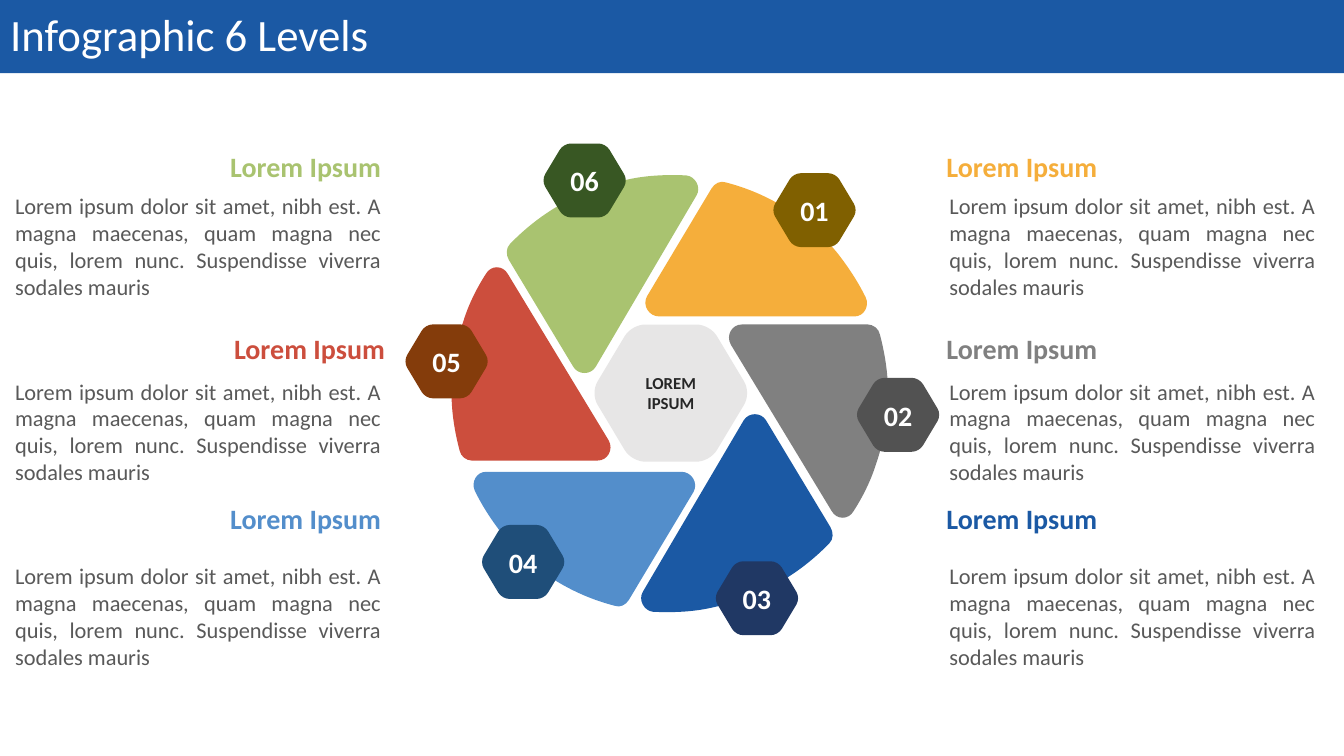
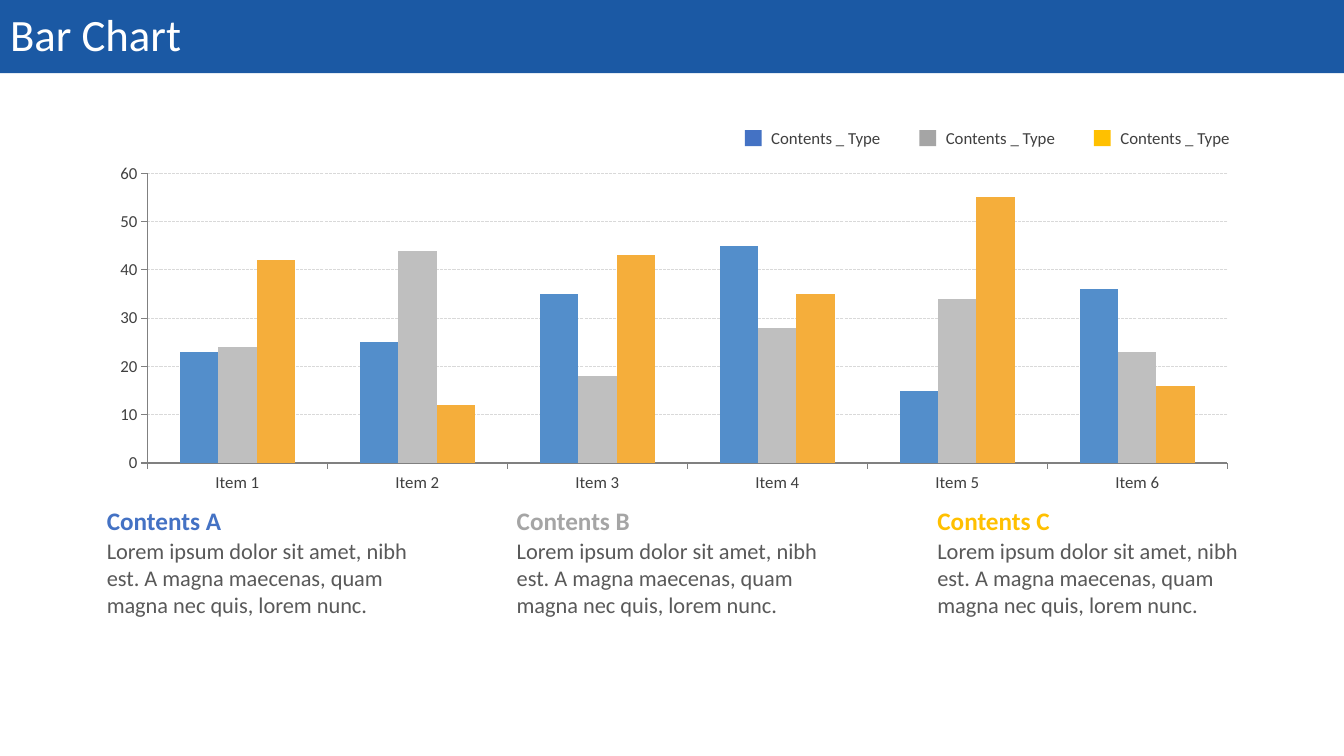
import math
from dataclasses import dataclass

import lxml.etree
import pptx
import pptx.chart.data
import pptx.dml.color
import pptx.enum.chart
import pptx.enum.dml
import pptx.enum.shapes
import pptx.enum.text
import pptx.oxml
import pptx.util

Pt = pptx.util.Pt
RGB = pptx.dml.color.RGBColor.from_string
qn = pptx.oxml.ns.qn
ALIGN = pptx.enum.text.PP_ALIGN
ANCHOR = pptx.enum.text.MSO_ANCHOR
SHAPE = pptx.enum.shapes.MSO_SHAPE


@dataclass(frozen=True)
class Theme:
    font: str = "Calibri"
    white: str = "FFFFFF"
    black: str = "000000"
    navy: str = "1B59A4"
    sky: str = "538ECB"
    amber: str = "F5AE3B"
    gray: str = "808080"
    silver: str = "BFBFBF"
    green: str = "A9C370"
    red: str = "CC4E3D"
    hub: str = "E7E6E6"
    hub_ink: str = "262626"
    body_ink: str = "595959"
    label_ink: str = "404040"
    grid: str = "D9D9D9"
    keys: tuple = ("4472C4", "A5A5A5", "FFC000")
    title_size: int = 32
    heading_size: int = 20
    caption_size: int = 18
    body_size: int = 16
    label_size: int = 12


theme = Theme()


def write_text(frame, text, *, size, color, bold=False, align=ALIGN.LEFT,
               anchor=ANCHOR.TOP, side=7.2, edge=3.6, spacing=1.0):
    """Fill a text frame; side and edge are its insets in points."""
    frame.word_wrap = True
    frame.auto_size = pptx.enum.text.MSO_AUTO_SIZE.NONE
    frame.vertical_anchor = anchor
    frame.margin_left = frame.margin_right = Pt(side)
    frame.margin_top = frame.margin_bottom = Pt(edge)
    frame.text = text
    for para in frame.paragraphs:
        para.alignment = align
        para.line_spacing = spacing
        for span in para.runs:
            span.font.name = theme.font
            span.font.size = Pt(size)
            span.font.bold = bold
            span.font.color.rgb = RGB(color)


def add_outline(page, center, bends, color, flip=1):
    """Draw cubic bends joined by straight lines; flip=-1 gives a half turn."""
    points, curve_starts = [], []
    for bend in bends:
        fresh = bend if not points or bend[0] != last else bend[1:]
        last = bend[3]
        points.extend(fresh)
        curve_starts.append(len(points) - 3)
    places = [(Pt(center[0] + flip * x), Pt(center[1] + flip * y)) for x, y in points]
    builder = page.shapes.build_freeform(*places[0], scale=1.0)
    builder.add_line_segments(places[1:], close=True)
    shape = builder.convert_to_shape()
    # Merge each run of three line ends into one cubic curve
    track = next(shape._element.iter(qn("a:path")))
    nodes = list(track)
    for start in curve_starts:
        curve = lxml.etree.SubElement(track, qn("a:cubicBezTo"))
        track.replace(nodes[start], curve)
        curve.append(nodes[start][0])
        for node in nodes[start + 1:start + 3]:
            curve.append(node[0])
            track.remove(node)
    shape.shadow.inherit = False
    shape.fill.solid()
    shape.fill.fore_color.rgb = RGB(color)
    shape.line.fill.background()
    return shape


deck = pptx.Presentation()
deck.slide_width, deck.slide_height = Pt(960), Pt(540)

pages = []
for title in ("Infographic 6 Levels", "Bar Chart"):
    page = deck.slides.add_slide(deck.slide_layouts[5])
    band = page.shapes.title
    band.left, band.top, band.width, band.height = Pt(0), Pt(0), Pt(960), Pt(52.2)
    band.fill.solid()
    band.fill.fore_color.rgb = RGB(theme.navy)
    write_text(band.text_frame, title, size=theme.title_size, color=theme.white,
               anchor=ANCHOR.MIDDLE, spacing=0.9)
    pages.append(page)
wheel_page, chart_page = pages

# Wheel: three blades, and the same three after a half turn
disc = wheel_page.shapes.add_shape(SHAPE.OVAL, Pt(310.3), Pt(111.6), Pt(337.7), Pt(337.7))
disc.shadow.inherit = False
disc.fill.solid()
disc.fill.fore_color.rgb = RGB(theme.white)
disc.line.fill.background()

wheel_center = (478.4, 280.4)
upper_blade = [
    ((119.2, -100.4), (98.3, -124.9), (70.9, -142.2), (40, -150.1)),
    ((40, -150.1), (36.4, -151.6), (32, -149.4), (29.9, -145.8)),
    ((-16.2, -68.8), (-19.8, -62.3), (-14.8, -54.4), (-7.6, -54.4)),
    ((132.1, -54.4), (138.6, -54.4), (142.9, -61.6), (140, -68)),
    ((140, -68), (134.3, -79.6), (127.1, -90.4), (119.2, -100.4)),
]
side_blade = [
    ((115.6, 84.6), (119.2, 91.1), (127.8, 91.1), (131.4, 84.6)),
    ((131.4, 84.6), (137.9, 74.5), (143.6, 63), (147.2, 51.5)),
    ((147.2, 51.5), (153, 34.9), (155.9, 17.6), (155.9, 0.4)),
    ((155.9, 0.4), (155.9, -14), (153.7, -27.7), (150.1, -41.4)),
    ((150.1, -41.4), (149.4, -45.7), (145.1, -48.6), (141.5, -48.6)),
    ((51.5, -48.6), (44.3, -48.6), (40, -40.7), (43.6, -34.2)),
]
lower_blade = [
    ((-19.1, 142.2), (-22.7, 148), (-18.4, 155.9), (-11.9, 156.6)),
    ((-11.9, 156.6), (3.2, 157.3), (18.4, 156.6), (32.8, 153)),
    ((32.8, 153), (63.7, 146.5), (91.8, 130.7), (114.1, 107.6)),
    ((114.1, 107.6), (117, 104.8), (117, 99.7), (114.8, 96.1)),
    ((68.8, 19.8), (65.2, 14), (56.5, 14), (52.9, 19.8)),
]
blades = (upper_blade, side_blade, lower_blade)

# Hexagon with rounded corners and a half height of 1
corners = [(1.17, 0), (0.57, 1), (-0.57, 1), (-1.17, 0), (-0.57, -1), (0.57, -1)]
hexagon = []
for index, corner in enumerate(corners):
    ends = []
    for neighbor in (corners[index - 1], corners[(index + 1) % 6]):
        reach = 0.2 / math.dist(corner, neighbor)
        for part in (reach, reach * 0.42):
            ends.append(tuple(c + (n - c) * part for c, n in zip(corner, neighbor)))
    hexagon.append((ends[0], ends[1], ends[3], ends[2]))
hub_bends, badge_bends = (
    [[(x * half, y * half) for x, y in bend] for bend in hexagon] for half in (49, 26.4))

hub = add_outline(wheel_page, (479.2, 280.8), hub_bends, theme.hub)
write_text(hub.text_frame, "LOREM\vIPSUM", size=theme.label_size, color=theme.hub_ink,
           bold=True, align=ALIGN.CENTER, anchor=ANCHOR.MIDDLE, side=2, edge=2)

# Blade colour, blade center, badge colour, badge center, heading left, row
levels = [
    (theme.amber, wheel_center, "806000", (581.8, 150.1), 676, 0),
    (theme.gray, wheel_center, "525252", (641.5, 296.3), 676, 1),
    (theme.navy, wheel_center, "203864", (540.7, 427.3), 676, 2),
    (theme.sky, (479.2, 282.6), "1F4E79", (373.7, 401.4), 99.4, 2),
    (theme.red, wheel_center, "843C0B", (319, 258.1), 102.2, 1),
    (theme.green, (478.4, 281.9), "385723", (417.6, 128.9), 99.4, 0),
]
heading_tops = (103, 233, 354.2)
body_tops = (134, 266.2, 398.2)
level_text = ("Lorem ipsum dolor sit amet, nibh est. A magna maecenas, quam magna nec "
              "quis, lorem nunc. Suspendisse viverra sodales mauris")

for index, level in enumerate(levels):
    color, blade_center, badge_color, badge_center, heading_left, row = level
    on_right = index < 3
    add_outline(wheel_page, blade_center, blades[index % 3], color,
                flip=1 if on_right else -1)
    badge = add_outline(wheel_page, badge_center, badge_bends, badge_color)
    write_text(badge.text_frame, f"{index + 1:02}", size=theme.heading_size,
               color=theme.white, bold=True, align=ALIGN.CENTER,
               anchor=ANCHOR.MIDDLE, side=2, edge=2)
    heading = wheel_page.shapes.add_textbox(
        Pt(heading_left), Pt(heading_tops[row]), Pt(172.8), Pt(31.5))
    write_text(heading.text_frame, "Lorem Ipsum", size=theme.heading_size, color=color,
               bold=True, align=ALIGN.LEFT if on_right else ALIGN.RIGHT,
               anchor=ANCHOR.BOTTOM, side=0)
    body = wheel_page.shapes.add_textbox(
        Pt(678.2 if on_right else 10.8), Pt(body_tops[row]), Pt(261.4), Pt(85))
    write_text(body.text_frame, level_text, size=theme.body_size,
               color=theme.body_ink, align=ALIGN.JUSTIFY, side=0)

# Column chart
data = pptx.chart.data.CategoryChartData()
data.categories = [f"Item {number}" for number in range(1, 7)]
data.add_series("Series 1", (23, 25, 35, 45, 15, 36))
data.add_series("Series 2", (24, 44, 18, 28, 34, 23))
data.add_series("Series 3", (42, 12, 43, 35, 55, 16))
chart_width, chart_height = 823.7, 244.8
chart = chart_page.shapes.add_chart(
    pptx.enum.chart.XL_CHART_TYPE.COLUMN_CLUSTERED,
    Pt(69.1), Pt(111.6), Pt(chart_width), Pt(chart_height), data).chart
chart.has_legend = False
chart.has_title = False
chart.font.name = theme.font
chart.font.size = Pt(theme.caption_size)
chart.font.color.rgb = RGB(theme.black)

plot = chart.plots[0]
plot.gap_width = 170
plot.overlap = 0
plot.vary_by_categories = False
for series, color in zip(plot.series, (theme.sky, theme.silver, theme.amber)):
    series.format.fill.solid()
    series.format.fill.fore_color.rgb = RGB(color)

for axis in (chart.category_axis, chart.value_axis):
    axis.major_tick_mark = pptx.enum.chart.XL_TICK_MARK.OUTSIDE
    axis.format.line.color.rgb = RGB(theme.gray)
    axis.format.line.width = Pt(0.75)
    axis.tick_labels.font.name = theme.font
    axis.tick_labels.font.size = Pt(theme.label_size)
    axis.tick_labels.font.color.rgb = RGB(theme.label_ink)
chart.value_axis.minimum_scale = 0
chart.value_axis.maximum_scale = 60
chart.value_axis.major_unit = 10
grid_line = chart.value_axis.major_gridlines.format.line
grid_line.color.rgb = RGB(theme.grid)
grid_line.width = Pt(0.75)
grid_line.dash_style = pptx.enum.dml.MSO_LINE.SQUARE_DOT

# Fixed inner plot area, as shares of the chart's size
plot_area = plot._element.getparent()
for old_layout in plot_area.findall(qn("c:layout")):
    plot_area.remove(old_layout)
plot_area.insert(0, pptx.oxml.parse_xml(
    f'<c:layout {pptx.oxml.ns.nsdecls("c")}><c:manualLayout>'
    '<c:layoutTarget val="inner"/><c:xMode val="edge"/><c:yMode val="edge"/>'
    f'<c:x val="{36.2 / chart_width}"/><c:y val="{12.2 / chart_height}"/>'
    f'<c:w val="{771.4 / chart_width}"/><c:h val="{207 / chart_height}"/>'
    '</c:manualLayout></c:layout>'))

# Legend keys above the chart and captions below it
for index, (color, letter, left) in enumerate(zip(theme.keys, "ABC", (69.2, 362, 662.5))):
    key_left = 532 + 124.7 * index
    key = chart_page.shapes.add_shape(
        SHAPE.RECTANGLE, Pt(key_left), Pt(93), Pt(12), Pt(11.5))
    key.shadow.inherit = False
    key.fill.solid()
    key.fill.fore_color.rgb = RGB(color)
    key.line.fill.background()
    label = chart_page.shapes.add_textbox(Pt(key_left + 11.8), Pt(88), Pt(103), Pt(21.6))
    write_text(label.text_frame, "Contents _ Type", size=theme.label_size,
               color=theme.label_ink, anchor=ANCHOR.MIDDLE)
    caption = chart_page.shapes.add_textbox(Pt(left), Pt(357.3), Pt(232), Pt(29))
    write_text(caption.text_frame, f"Contents {letter}", size=theme.caption_size,
               color=color, bold=True, anchor=ANCHOR.MIDDLE)
    body = chart_page.shapes.add_textbox(Pt(left), Pt(380.3), Pt(232), Pt(65.5))
    write_text(body.text_frame, "Lorem ipsum dolor sit amet, nibh est. A magna maecenas, "
               "quam magna nec quis, lorem nunc.", size=theme.body_size,
               color=theme.body_ink)

deck.save("out.pptx")
